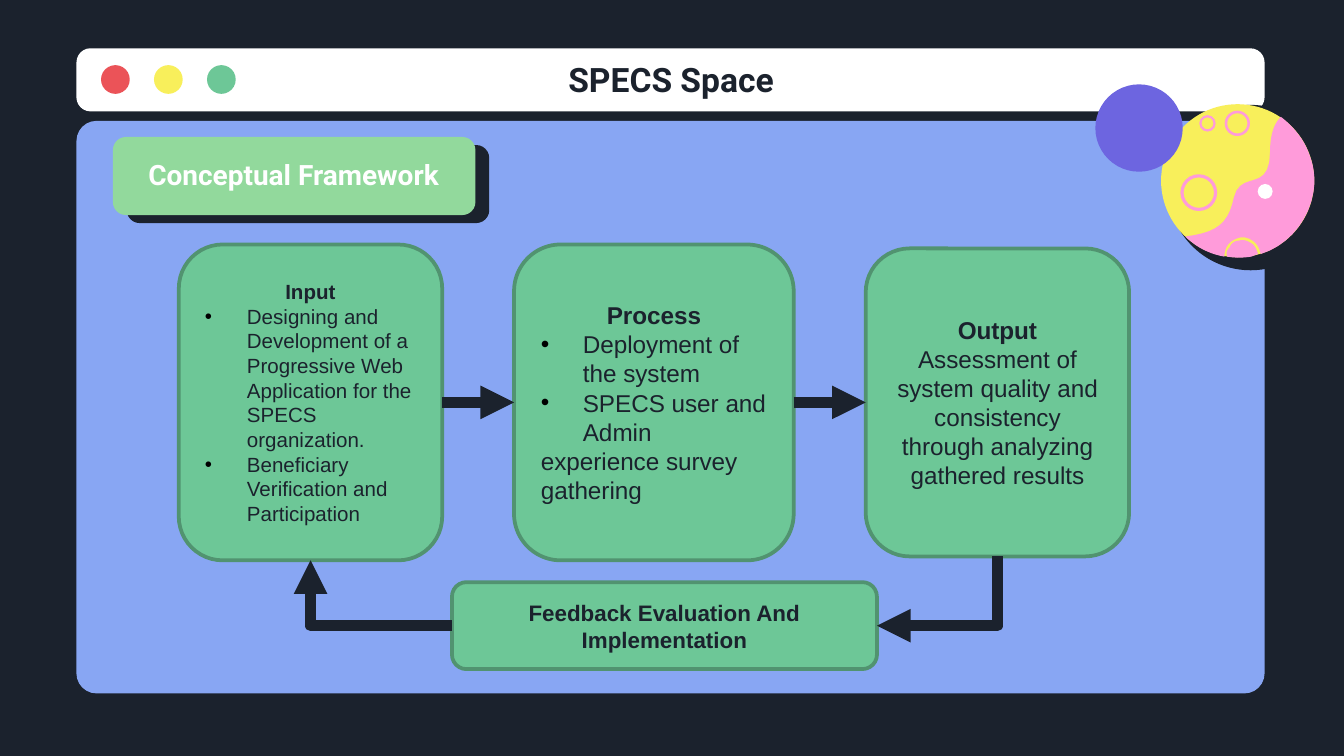
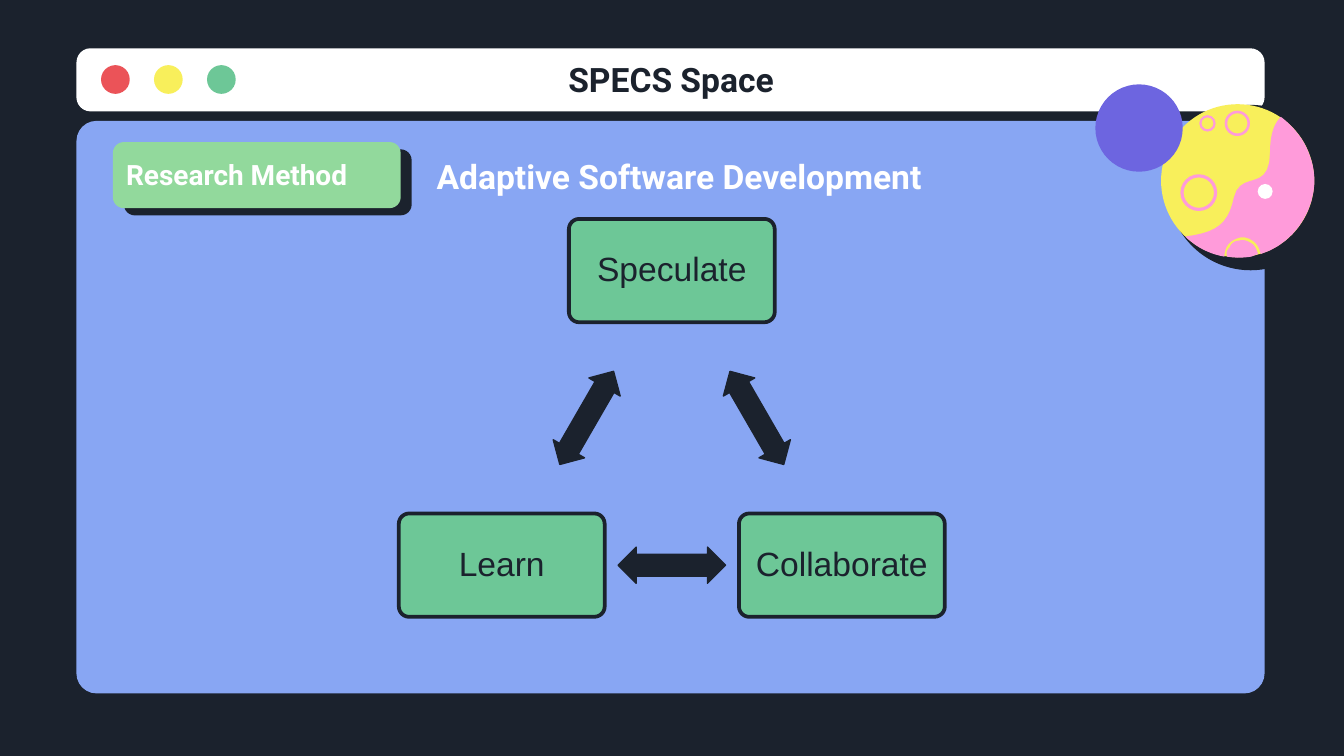
"""Build the SPECS Space slides on the conceptual framework and the research method."""
from dataclasses import dataclass

from lxml import etree
from pptx import Presentation
from pptx.dml.color import RGBColor
from pptx.enum.shapes import MSO_CONNECTOR, MSO_SHAPE
from pptx.enum.text import MSO_ANCHOR, PP_ALIGN
from pptx.oxml.ns import qn
from pptx.util import Pt

ROUND, OVAL, ARROW = MSO_SHAPE.ROUNDED_RECTANGLE, MSO_SHAPE.OVAL, MSO_SHAPE.LEFT_RIGHT_ARROW
STRAIGHT, ELBOW = MSO_CONNECTOR.STRAIGHT, MSO_CONNECTOR.ELBOW
LEFT, CENTER, JUSTIFY = PP_ALIGN.LEFT, PP_ALIGN.CENTER, PP_ALIGN.JUSTIFY
TOP, MIDDLE, BOTTOM = MSO_ANCHOR.TOP, MSO_ANCHOR.MIDDLE, MSO_ANCHOR.BOTTOM
SIDE_TOP, SIDE_LEFT, SIDE_BOTTOM, SIDE_RIGHT = range(4)

COLORS = {
    "ink": "1B222D", "white": "FFFFFF", "red": "EB5358", "yellow": "F8EF5B",
    "green": "6DC797", "edge": "519370", "mint": "92D99C", "panel": "88A6F3",
    "pink": "FF9BDA", "purple": "6D65E0", "black": "000000",
}
HEAD_FONT, BODY_FONT = "Roboto", "Arial"


@dataclass(frozen=True)
class Box:
    x: float
    y: float
    w: float
    h: float

    def shifted(self, dx: float, dy: float) -> "Box":
        return Box(self.x + dx, self.y + dy, self.w, self.h)

    def emu(self) -> tuple:
        return Pt(self.x), Pt(self.y), Pt(self.w), Pt(self.h)


@dataclass(frozen=True)
class Crater:
    cx: float
    cy: float
    r: float
    line: float


@dataclass(frozen=True)
class Step:
    box: Box
    size: float
    heading: str
    bullets: tuple = ()
    body: str = ""
    align: int = LEFT


@dataclass(frozen=True)
class Phase:
    name: str
    cx: float
    cy: float


TITLE_BAR = Box(41, 25.9, 636.5, 33.8)
PANEL = Box(41, 64.8, 636.5, 306.7)
CRATERS = (
    Crater(662.9, 66.1, 6.1, 1.4),
    Crater(642.2, 103.2, 9, 1.7),
    Crater(646.9, 66.1, 3.8, 1.2),
)
CONTINENT = (
    ((686.2, 62.6), (
        ((691.9, 67), (697.7, 73.4), (700.6, 80.6)),
        ((703, 86.5), (704.2, 91), (704.2, 97.9)),
        ((703.4, 115.2), (691.9, 131), (675.4, 136.1)),
        ((674.6, 132.5), (673.2, 130.3), (671, 128.9)),
        ((668.9, 127.4), (666, 126.7), (663.8, 127.4)),
        ((661, 128.2), (658.8, 129.6), (657.4, 131.8)),
        ((656.6, 133.2), (655.9, 135.4), (655.9, 137.5)),
        ((648, 136.1), (640.8, 132.5), (635, 126.7)),
        ((652.3, 124.6), (658.1, 119.5), (661, 105.8)),
        ((664.6, 90.7), (680.4, 103.7), (680.4, 81.4)),
        ((680.4, 70.6), (683.3, 65.5), (686.2, 62.6)),
    )),
    ((673.9, 136.1), (
        ((673.2, 133.2), (671.8, 131), (670.3, 130.3)),
        ((668.2, 128.9), (666, 128.2), (663.8, 128.9)),
        ((661.7, 128.9), (659.5, 130.3), (658.8, 132.5)),
        ((657.4, 133.9), (656.6, 135.4), (657.4, 137.5)),
        ((661.7, 138.2), (666, 138.2), (670.3, 137.5)),
    )),
)
STEPS = (
    Step(Box(95.8, 131, 141.1, 169.2), 11, "Input", (
        "Designing and Development of a Progressive Web Application for the SPECS organization.",
        "Beneficiary Verification and Participation",
    )),
    Step(Box(275.4, 131, 149.8, 169.2), 13, "Process",
         ("Deployment of the system", "SPECS user and Admin"), "experience survey gathering"),
    Step(Box(463.8, 133.1, 141.1, 165), 13, "Output",
         body="Assessment of system quality and consistency through analyzing gathered results",
         align=CENTER),
)
FEEDBACK = Box(242.1, 311.9, 227.7, 46.6)
PHASES = (
    Phase("Speculate", 359.9, 145),
    Phase("Collaborate", 451, 302.8),
    Phase("Learn", 268.8, 302.8),
)


def rgb(name: str) -> RGBColor:
    return RGBColor.from_string(COLORS[name])


def paint(sp, fill: str | None, line: str | None = None, width: float = 0) -> None:
    sp.shadow.inherit = False
    if fill:
        sp.fill.solid()
        sp.fill.fore_color.rgb = rgb(fill)
    else:
        sp.fill.background()
    if line:
        sp.line.color.rgb = rgb(line)
        sp.line.width = Pt(width)
    else:
        sp.line.fill.background()


def add_shape(slide, kind, box: Box, fill: str | None, line: str | None = None,
              width: float = 0, adj: tuple = ()):
    sp = slide.shapes.add_shape(kind, *box.emu())
    paint(sp, fill, line, width)
    for i, value in enumerate(adj):
        sp.adjustments[i] = value
    return sp


def add_circle(slide, cx: float, cy: float, r: float, fill: str | None,
               line: str | None = None, width: float = 0) -> None:
    add_shape(slide, OVAL, Box(cx - r, cy - r, 2 * r, 2 * r), fill, line, width)


def frame(sp, anchor=MIDDLE, inset_x: float = 7.2, inset_y: float = 3.6):
    tf = sp.text_frame
    tf.word_wrap = True
    tf.vertical_anchor = anchor
    tf.margin_left = tf.margin_right = Pt(inset_x)
    tf.margin_top = tf.margin_bottom = Pt(inset_y)
    return tf


def write(tf, text: str, *, size: float, font: str = BODY_FONT, color: str = "ink",
          bold: bool = False, align=LEFT, bullet: bool = False,
          spacing: float | None = None) -> None:
    p = tf.paragraphs[0] if not tf.text else tf.add_paragraph()
    if bullet:
        pPr = p._p.get_or_add_pPr()
        pPr.set("marL", str(Pt(22.5)))
        pPr.set("indent", str(-Pt(22.5)))
        clr = etree.SubElement(pPr, qn("a:buClr"))
        etree.SubElement(clr, qn("a:srgbClr"), val=COLORS["black"])
        etree.SubElement(pPr, qn("a:buFont"), typeface=BODY_FONT)
        etree.SubElement(pPr, qn("a:buChar"), char="•")
    p.alignment = align
    if spacing:
        p.line_spacing = spacing
    r = p.add_run()
    r.text = text
    r.font.size = Pt(size)
    r.font.name = font
    r.font.bold = bold
    r.font.color.rgb = rgb(color)


def add_heading(slide, box: Box, text: str, size: float, color: str, *,
                anchor=TOP, inset_y: float = 7.2, align=LEFT) -> None:
    tf = frame(slide.shapes.add_textbox(*box.emu()), anchor, inset_y=inset_y)
    write(tf, text, size=size, font=HEAD_FONT, color=color, bold=True, align=align)


def curve_points(start: tuple, curves: tuple, steps: int = 10) -> list:
    points, p0 = [], start
    for p1, p2, p3 in curves:
        for i in range(1, steps + 1):
            t = i / steps
            u = 1 - t
            points.append(tuple(
                Pt(u**3 * a + 3 * u * u * t * b + 3 * u * t * t * c + t**3 * d)
                for a, b, c, d in zip(p0, p1, p2, p3)))
        p0 = p3
    return points


def add_planet(slide) -> None:
    add_circle(slide, 670, 100.5, 44.3, "ink")
    add_circle(slide, 663, 96.8, 41, "yellow")
    for c in CRATERS:
        add_circle(slide, c.cx, c.cy, c.r, None, "pink", c.line)
    fb = None
    for start, curves in CONTINENT:
        x, y = map(Pt, start)
        if fb is None:
            fb = slide.shapes.build_freeform(x, y)
        else:
            fb.move_to(x, y)
        fb.add_line_segments(curve_points(start, curves), close=True)
    paint(fb.convert_to_shape(), "pink")
    add_circle(slide, 677.8, 102.6, 4, "white")
    add_circle(slide, 610.2, 68.6, 23.4, "purple")


def add_window(prs):
    slide = prs.slides.add_slide(prs.slide_layouts[6])
    slide.background.fill.solid()
    slide.background.fill.fore_color.rgb = rgb("ink")
    add_shape(slide, ROUND, TITLE_BAR, "white", adj=(0.223,))
    for i, color in enumerate(("red", "yellow", "green")):
        add_circle(slide, 61.8 + 28.4 * i, 42.6, 7.7, color)
    add_shape(slide, ROUND, PANEL, "panel", adj=(0.035,))
    add_planet(slide)
    add_heading(slide, Box(297.4, 28.1, 134.6, 28.8), "SPECS Space", 18, "ink", inset_y=3.6)
    return slide


def add_badge(slide, box: Box, shift: tuple, text: str, text_w: float, align) -> None:
    add_shape(slide, ROUND, box.shifted(*shift), "ink")
    add_shape(slide, ROUND, box, "mint")
    add_heading(slide, Box(box.x, 77.8, text_w, 31.7), text, 15, "white",
                anchor=BOTTOM, align=align)


def add_arrow(slide, kind, begin, begin_side: int, end, end_side: int):
    c = slide.shapes.add_connector(kind, 0, 0, 0, 0)
    c.begin_connect(begin, begin_side)
    c.end_connect(end, end_side)
    c.line.color.rgb = rgb("ink")
    c.line.width = Pt(6)
    etree.SubElement(c.line._get_or_add_ln(), qn("a:tailEnd"), type="triangle")
    etree.SubElement(c._element.spPr, qn("a:effectLst"))
    return c


def add_corner_arrow(slide, begin, begin_side: int, end, end_side: int, rot: int) -> None:
    c = add_arrow(slide, ELBOW, begin, begin_side, end, end_side)
    mid_x, mid_y = (c.begin_x + c.end_x) // 2, (c.begin_y + c.end_y) // 2
    w, h = (c.height, c.width) if rot == 90 else (c.width, c.height)
    c.left, c.top, c.width, c.height = mid_x - w // 2, mid_y - h // 2, w, h
    spPr = c._element.spPr
    xfrm = spPr.find(qn("a:xfrm"))
    for flip in ("flipH", "flipV"):
        xfrm.attrib.pop(flip, None)
    xfrm.set("rot", str(rot * 60000))
    spPr.find(qn("a:prstGeom")).set("prst", "bentConnector2")


def add_step(slide, step: Step):
    sp = add_shape(slide, ROUND, step.box, "green", "edge", 2)
    tf = frame(sp)
    write(tf, step.heading, size=step.size, bold=True, align=CENTER)
    for text in step.bullets:
        write(tf, text, size=step.size, bullet=True)
    if step.body:
        write(tf, step.body, size=step.size, align=step.align)
    return sp


def build_framework(prs) -> None:
    slide = add_window(prs)
    add_badge(slide, Box(60.5, 73.4, 194.2, 41.8), (7.4, 4.3),
              "Conceptual Framework", 193.7, CENTER)
    boxes = [add_step(slide, step) for step in STEPS]
    feedback = add_step(slide, Step(FEEDBACK, 12, "Feedback Evaluation And Implementation"))
    for begin, end in zip(boxes, boxes[1:]):
        add_arrow(slide, STRAIGHT, begin, SIDE_RIGHT, end, SIDE_LEFT)
    add_corner_arrow(slide, boxes[-1], SIDE_BOTTOM, feedback, SIDE_RIGHT, 90)
    add_corner_arrow(slide, feedback, SIDE_LEFT, boxes[0], SIDE_BOTTOM, 180)


def build_method(prs) -> None:
    slide = add_window(prs)
    add_badge(slide, Box(60.5, 76.1, 154.2, 35.4), (5.9, 3.9),
              "Research Method", 160.6, JUSTIFY)
    add_heading(slide, Box(226.8, 76.3, 319.7, 44.6), "Adaptive Software Development", 18, "white")
    w, h = 110.3, 55.4
    arrow_w, arrow_h = 57.6, 19.4
    for i, phase in enumerate(PHASES):
        box = Box(phase.cx - w / 2, phase.cy - h / 2, w, h)
        sp = add_shape(slide, ROUND, box, "green", "ink", 2, (0.1,))
        write(frame(sp, inset_x=5, inset_y=5), phase.name, size=18, align=CENTER, spacing=0.9)
        following = PHASES[(i + 1) % len(PHASES)]
        mid_x, mid_y = (phase.cx + following.cx) / 2, (phase.cy + following.cy) / 2
        arrow = add_shape(slide, ARROW, Box(mid_x - arrow_w / 2, mid_y - arrow_h / 2, arrow_w, arrow_h),
                          "ink", "ink", 0.75, (0.6, 0.5))
        arrow.rotation = 60 + 120 * i


def main() -> None:
    prs = Presentation()
    prs.slide_width, prs.slide_height = Pt(720), Pt(405)
    build_framework(prs)
    build_method(prs)
    prs.save("out.pptx")


if __name__ == "__main__":
    main()
